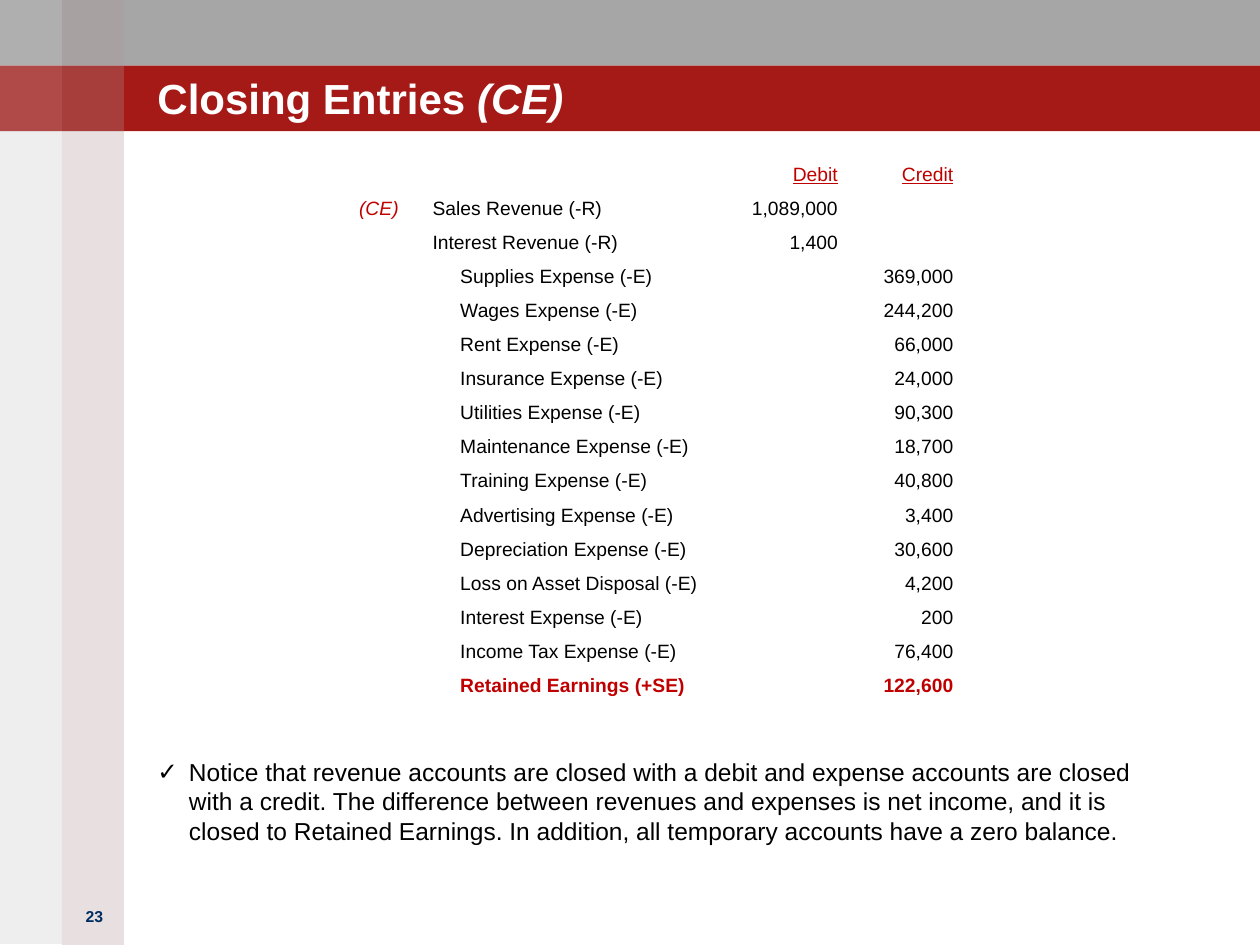
from lxml import etree
from pptx import Presentation
from pptx.dml.color import RGBColor
from pptx.enum import shapes, text
from pptx.oxml.ns import qn
from pptx.util import Inches, Pt

COLORS = {"grey": "A6A6A6", "red": "A51A17", "rose": "A08284", "ash": "938F8F",
          "white": "FFFFFF", "black": "000000", "accent": "C00000", "navy": "002E62"}

prs = Presentation()
prs.slide_width, prs.slide_height = Inches(10), Inches(7.5)
s = prs.slides.add_slide(prs.slide_layouts[6])

# Grid of 120 columns by 90 rows
COLS, ROWS = 120, 90
unit = prs.slide_width / COLS
BAND, STRIP = 6.25, 5.9


def grid(*cells):
    return [round(c * unit) for c in cells]


def write(p, words, size, color, **fmt):
    r = p.add_run()
    r.text = words
    r.font.color.rgb = RGBColor.from_string(COLORS[color])
    for key, value in {"name": "Arial", "size": Pt(size), **fmt}.items():
        setattr(r.font, key, value)


# Header bands, side strips and the lighter squares where they cross
blocks = [(0, 0, COLS, BAND, "grey", 100), (0, BAND, COLS, BAND, "red", 100),
          (STRIP, 0, STRIP, ROWS, "rose", 25), (0, 0, STRIP, ROWS - 0.1, "ash", 15)]
for top in (0, BAND):
    blocks += [(STRIP, top, STRIP, BAND, "white", 5), (0, top, STRIP, BAND, "white", 15)]
for x, y, w, h, color, opacity in blocks:
    sp = s.shapes.add_shape(shapes.MSO_SHAPE.RECTANGLE, *grid(x, y, w, h))
    sp.shadow.inherit = False
    sp.line.fill.background()
    sp.fill.solid()
    sp.fill.fore_color.rgb = RGBColor.from_string(COLORS[color])
    if opacity < 100:
        clr = sp.fill._xPr.find(".//" + qn("a:srgbClr"))
        etree.SubElement(clr, qn("a:alpha"), val=str(opacity * 1000))

# Title, note and slide number
boxes = [
    ((15, 3.7, 78.5, 8), text.MSO_ANCHOR.BOTTOM, text.PP_ALIGN.LEFT,
     [("Closing Entries ", 24, "white", {"bold": True}),
      ("(CE)", 24, "white", {"bold": True, "italic": True})]),
    ((15, 72.1, 95, 13.9), text.MSO_ANCHOR.TOP, text.PP_ALIGN.LEFT,
     [("Notice that revenue accounts are closed with a debit and expense accounts "
       "are closed with a credit. The difference between revenues and expenses is "
       "net income, and it is closed to Retained Earnings. In addition, all "
       "temporary accounts have a zero balance.", 14, "black", {})]),
    ((6, 86.4, 6, 2.4), text.MSO_ANCHOR.TOP, text.PP_ALIGN.CENTER,
     [("23", 9, "navy", {"bold": True})]),
]
for place, anchor, align, runs in boxes:
    tf = s.shapes.add_textbox(*grid(*place)).text_frame
    for key, value in {"word_wrap": True, "vertical_anchor": anchor, "margin_left": 0,
                       "margin_right": 0, "margin_top": 0, "margin_bottom": 0}.items():
        setattr(tf, key, value)
    p = tf.paragraphs[0]
    p.alignment = align
    for words, size, color, fmt in runs:
        write(p, words, size, color, **fmt)
    if words.startswith("Notice"):
        pPr = p._p.get_or_add_pPr()
        pPr.set("marL", str(Inches(0.25)))
        pPr.set("indent", str(-Inches(0.25)))
        etree.SubElement(pPr, qn("a:buFont"), typeface="Arial")
        etree.SubElement(pPr, qn("a:buChar"), char="✓")

# Closing journal entry
credits = [("Supplies Expense", "369,000"), ("Wages Expense", "244,200"),
           ("Rent Expense", "66,000"), ("Insurance Expense", "24,000"),
           ("Utilities Expense", "90,300"), ("Maintenance Expense", "18,700"),
           ("Training Expense", "40,800"), ("Advertising Expense", "3,400"),
           ("Depreciation Expense", "30,600"), ("Loss on Asset Disposal", "4,200"),
           ("Interest Expense", "200"), ("Income Tax Expense", "76,400")]
entry = [("", "", "Debit", "Credit"),
         ("(CE)", "Sales Revenue (-R)", "1,089,000", ""),
         ("", "Interest Revenue (-R)", "1,400", "")]
entry += [("", f"{account} (-E)", "", amount) for account, amount in credits]
entry += [("", "Retained Earnings (+SE)", "", "122,600")]

widths, row_height, size = (7, 30, 11, 11), 3.25, 11
table = s.shapes.add_table(len(entry), len(widths), *grid(
    33, 15, sum(widths), row_height * len(entry))).table
table.first_row = table.horz_banding = False
for column, width in zip(table.columns, grid(*widths)):
    column.width = width
for i, row in enumerate(entry):
    table.rows[i].height = grid(row_height)[0]
    for j, words in enumerate(row):
        cell = table.cell(i, j)
        cell.fill.background()
        cell.margin_top, cell.margin_bottom = Inches(0.05), Inches(0.03)
        p = cell.text_frame.paragraphs[0]
        p.alignment = text.PP_ALIGN.RIGHT if j > 1 else text.PP_ALIGN.LEFT
        if j == 1 and row[3]:
            cell.margin_left = Inches(0.32)  # credited accounts are indented
        if words:
            last = i == len(entry) - 1
            color = "accent" if i == 0 or j == 0 or last else "black"
            write(p, words, size, color, bold=last, italic=j == 0, underline=i == 0)
        else:
            etree.SubElement(p._p, qn("a:endParaRPr"), sz=str(size * 100))

prs.save("out.pptx")
